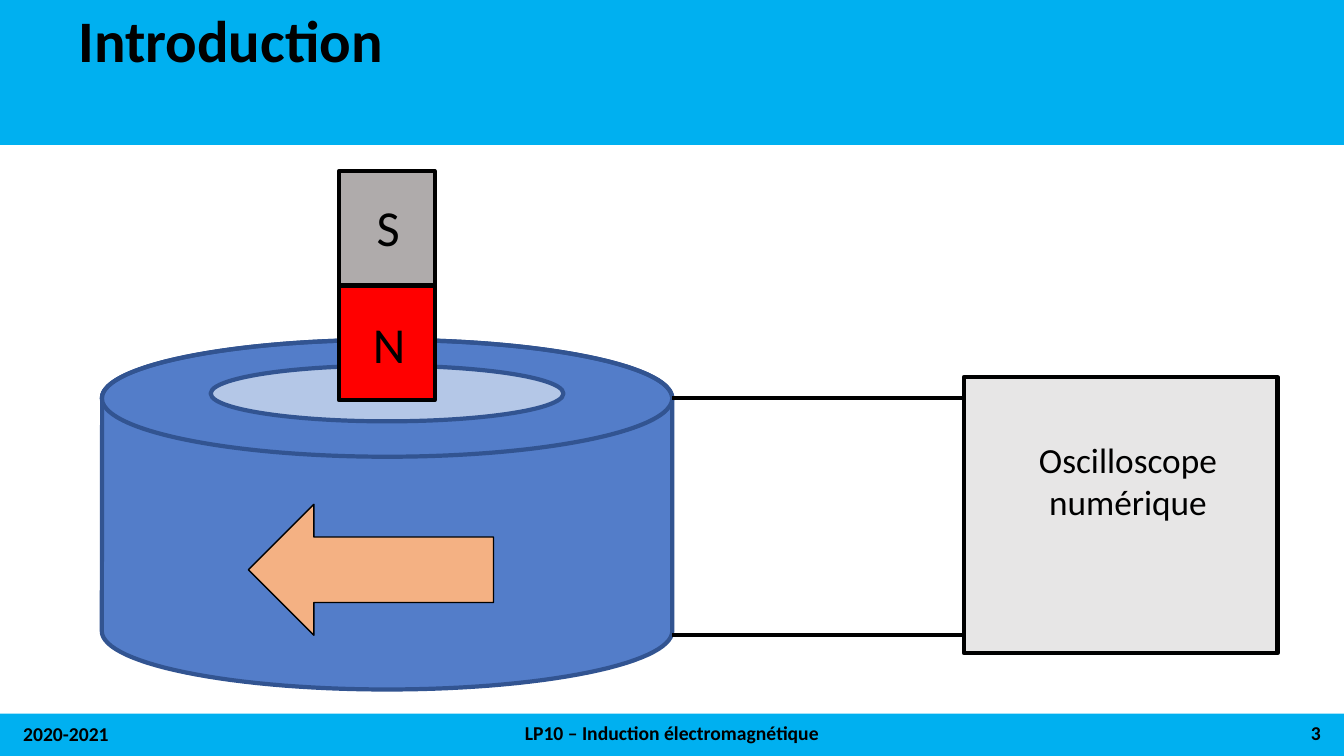
import math
from dataclasses import dataclass

from lxml import etree
from pptx import Presentation, util as u
from pptx.dml.color import RGBColor
from pptx.enum import shapes, text
from pptx.oxml import ns

COLORS = {
    "banner": "00B0F0",
    "black": "000000",
    "coil": "537DC9",
    "coil_edge": "325491",
    "hole": "B4C7E7",
    "south": "AFABAB",
    "north": "FF0000",
    "arrow": "F4B183",
    "device": "E7E6E6",
}
FONT = "Calibri"
SHAPE = shapes.MSO_SHAPE
ALIGN = text.PP_ALIGN


@dataclass(frozen=True)
class Figure:
    kind: SHAPE
    left: float
    top: float
    width: float
    height: float
    fill: str | None
    edge: str | None = "black"
    weight: float = 3


@dataclass(frozen=True)
class Label:
    lines: tuple[str, ...]
    left: float
    top: float
    width: float
    height: float
    size: float
    align: ALIGN = ALIGN.LEFT
    bold: bool = False


COIL_CENTER, COIL_RADIUS, COIL_DEPTH = 276.5, 203.75, 41.75
COIL_TOP, COIL_BOTTOM = 284.5, 450.75
COIL_RIGHT = COIL_CENTER + COIL_RADIUS
MAGNET_LEFT, MAGNET_TOP, MAGNET_WIDTH, POLE_HEIGHT = 242, 122.25, 68.5, 81.75
DEVICE_LEFT = 688.5
WIRE_HEIGHTS = (284.5, 453.5)

BANNERS = (
    Figure(SHAPE.RECTANGLE, 0, -0.5, 960, 104, "banner", None),
    Figure(SHAPE.RECTANGLE, 0, 509.75, 960, 30.25, "banner", None),
)
FIGURES = (
    Figure(SHAPE.OVAL, COIL_CENTER - COIL_RADIUS, COIL_TOP - COIL_DEPTH,
           2 * COIL_RADIUS, 2 * COIL_DEPTH, None, "coil_edge"),
    Figure(SHAPE.OVAL, 150.5, 261.25, 252, 39.75, "hole", "coil_edge"),
    Figure(SHAPE.RECTANGLE, MAGNET_LEFT, MAGNET_TOP,
           MAGNET_WIDTH, POLE_HEIGHT, "south"),
    Figure(SHAPE.RECTANGLE, MAGNET_LEFT, MAGNET_TOP + POLE_HEIGHT,
           MAGNET_WIDTH, POLE_HEIGHT, "north"),
    Figure(SHAPE.LEFT_ARROW, 177.5, 360.25, 175, 93.5, "arrow", weight=1),
    Figure(SHAPE.RECTANGLE, DEVICE_LEFT, 269.25, 224, 197.25, "device"),
)
LABELS = (
    Label(("2020-2021",), 9.5, 510, 216, 28.75, 14, bold=True),
    Label(("LP10 – Induction électromagnétique",),
          225.5, 509.25, 509, 28.75, 14, ALIGN.CENTER, True),
    Label(("3",), 734.5, 509.25, 216, 28.75, 14, ALIGN.RIGHT, True),
    Label(("N",), 259.25, 219.5, 50.5, 52, 36),
    Label(("S",), 262, 136, 50.5, 52, 36),
    Label(("Oscilloscope", "numérique"),
          729.5, 304, 152.5, 78.5, 25.2, ALIGN.CENTER),
)


def color(name: str) -> RGBColor:
    return RGBColor.from_string(COLORS[name])


def place(item, spot) -> None:
    item.left, item.top = u.Pt(spot.left), u.Pt(spot.top)
    item.width, item.height = u.Pt(spot.width), u.Pt(spot.height)


def paint(shape, fill: str | None, edge: str | None, weight: float) -> None:
    shape.shadow.inherit = False
    if fill:
        shape.fill.solid()
        shape.fill.fore_color.rgb = color(fill)
    else:
        shape.fill.background()
    if edge:
        shape.line.color.rgb = color(edge)
        shape.line.width = u.Pt(weight)
    else:
        shape.line.fill.background()


def draw_figure(page, figure: Figure):
    shape = page.shapes.add_shape(figure.kind, 0, 0, 0, 0)
    place(shape, figure)
    paint(shape, figure.fill, figure.edge, figure.weight)
    return shape


def draw_coil_body(page) -> None:
    points = []
    for degrees in range(0, 361, 3):
        angle = math.radians(degrees)
        middle = COIL_BOTTOM if degrees <= 180 else COIL_TOP
        points.append((u.Pt(COIL_CENTER + COIL_RADIUS * math.cos(angle)),
                       u.Pt(middle + COIL_DEPTH * math.sin(angle))))
    builder = page.shapes.build_freeform(*points[0])
    builder.add_line_segments(points[1:], close=True)
    paint(builder.convert_to_shape(), "coil", "coil_edge", 3)


def draw_wire(page, height: float) -> None:
    wire = page.shapes.add_connector(
        shapes.MSO_CONNECTOR.STRAIGHT,
        u.Pt(COIL_RIGHT), u.Pt(height), u.Pt(DEVICE_LEFT), u.Pt(height))
    wire.line.color.rgb = color("black")
    wire.line.width = u.Pt(3)
    etree.SubElement(wire.element.spPr, ns.qn("a:effectLst"))


def write_label(box, label: Label) -> None:
    place(box, label)
    frame = box.text_frame
    frame.word_wrap = True
    frame.auto_size = text.MSO_AUTO_SIZE.NONE
    frame.vertical_anchor = text.MSO_ANCHOR.MIDDLE
    frame.text = "\n".join(label.lines)
    for para in frame.paragraphs:
        para.alignment = label.align
        para.font.name = FONT
        para.font.size = u.Pt(label.size)
        para.font.bold = label.bold
        para.font.color.rgb = color("black")


def main() -> None:
    deck = Presentation()
    deck.slide_width, deck.slide_height = u.Pt(960), u.Pt(540)
    page = deck.slides.add_slide(deck.slide_layouts.get_by_name("Title Only"))

    title = page.shapes.title
    for banner in BANNERS:
        title.element.addprevious(draw_figure(page, banner).element)
    write_label(title, Label(("Introduction",), 49, 8, 845, 46.75, 42, bold=True))
    title.text_frame.paragraphs[0].line_spacing = 0.9

    draw_coil_body(page)
    for figure in FIGURES:
        draw_figure(page, figure)
    for height in WIRE_HEIGHTS:
        draw_wire(page, height)
    for label in LABELS:
        write_label(page.shapes.add_textbox(0, 0, 0, 0), label)

    deck.save("out.pptx")


if __name__ == "__main__":
    main()
